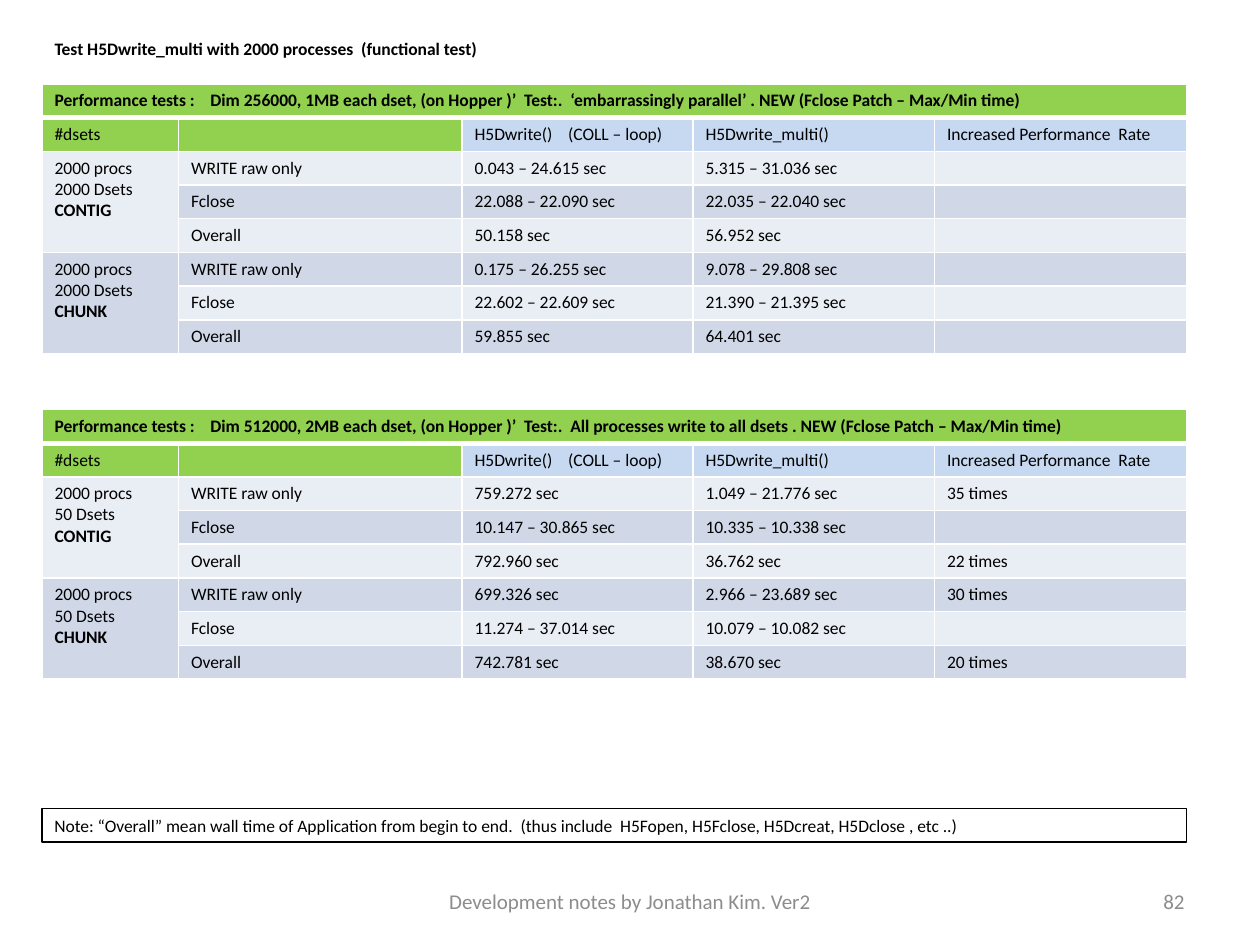
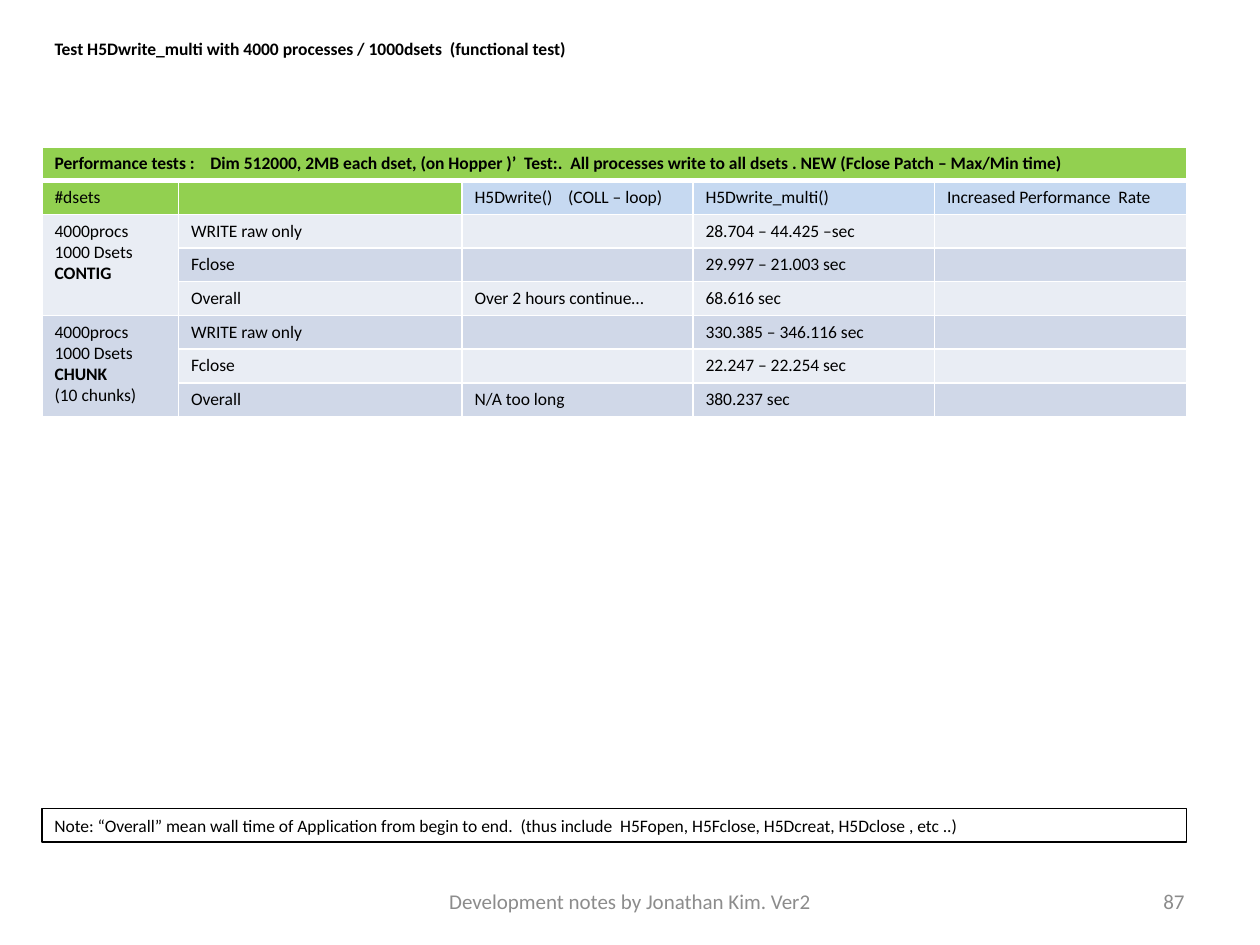
from pptx import Presentation, util as u
from pptx.dml import color
from pptx.enum import shapes, text
from pptx.oxml import parse_xml
from pptx.oxml.ns import nsdecls

# Shared style: a grid of 120 columns by 90 rows
COLS, ROWS = 120, 90
FONT = "Calibri"
INK, GREY, WHITE = "000000", "8C8C8C", "FFFFFF"
GREEN, BLUE = "92D050", "C6D9F1"
LIGHT, DARK = "E9EDF4", "D0D8E8"
LEFT, SPANS = 4, [13, 27, 22, 23, 24]
WIDE = sum(SPANS)
DEEP, LINE = 25.6, 3.2
ALIGN = text.PP_ALIGN

HEADS = ["#dsets", "", "H5Dwrite()    (COLL – loop)", "H5Dwrite_multi()",
         "Increased Performance  Rate"]
STEPS = ["WRITE raw only", "Fclose", "Overall"]
KINDS = ["CONTIG", "CHUNK"]
NOTE = ("Note: “Overall” mean wall time of Application from begin to end.  "
        "(thus include  H5Fopen, H5Fclose, H5Dcreat, H5Dclose , etc ..)")
CREDIT = "Development notes by Jonathan Kim. Ver2"
LEAD = "Performance tests :    Dim {}, (on Hopper )’  Test:.  {} . NEW (Fclose Patch – Max/Min time)"
ALL = LEAD.format("512000, 2MB each dset", "All processes write to all dsets")
OWN = LEAD.format("256000, 1MB each dset", "‘embarrassingly parallel’")


def rgb(code):
    return color.RGBColor.from_string(code)


class Deck:
    def __init__(self):
        self.prs = Presentation()
        self.prs.slide_width = u.Inches(10)
        self.prs.slide_height = u.Inches(7.5)
        self.page = None

    def box(self, col, row, wide, high):
        """Turn grid units into left, top, width, height."""
        dx, dy = self.prs.slide_width / COLS, self.prs.slide_height / ROWS
        return [round(n) for n in (col * dx, row * dy, wide * dx, high * dy)]

    def put(self, frame, lines, size=10, ink=INK, bold=(), align=ALIGN.LEFT):
        """Fill a text frame, one paragraph a line; bold names the bold lines."""
        for num, line in enumerate(lines):
            para = frame.add_paragraph() if num else frame.paragraphs[0]
            para.alignment = align
            run = para.add_run()
            run.text = line
            font = run.font
            font.name, font.size = FONT, u.Pt(size)
            font.bold, font.color.rgb = line in bold, rgb(ink)

    def slide(self, title, wide, num):
        self.page = self.prs.slides.add_slide(self.prs.slide_layouts[5])
        # Title
        head = self.page.shapes.title
        head.left, head.top, head.width, head.height = self.box(LEFT, 3, wide, LINE)
        frame = head.text_frame
        frame.word_wrap = False
        frame.auto_size = text.MSO_AUTO_SIZE.SHAPE_TO_FIT_TEXT
        frame.vertical_anchor = text.MSO_ANCHOR.TOP
        self.put(frame, [title], bold=[title])
        # Note and footer
        self.note()
        self.foot(41, 38, CREDIT, ALIGN.CENTER)
        self.foot(86, 28, str(num), ALIGN.RIGHT)

    def note(self):
        rect = self.page.shapes.add_shape(
            shapes.MSO_SHAPE.RECTANGLE, *self.box(LEFT, 77, WIDE, LINE))
        rect.shadow.inherit = False
        rect.fill.background()
        rect.line.color.rgb = rgb(INK)
        rect.line.width = u.Pt(0.75)
        frame = rect.text_frame
        frame.word_wrap = True
        frame.auto_size = text.MSO_AUTO_SIZE.SHAPE_TO_FIT_TEXT
        frame.vertical_anchor = text.MSO_ANCHOR.TOP
        self.put(frame, [NOTE])

    def foot(self, col, wide, line, align):
        frame = self.page.shapes.add_textbox(*self.box(col, 83.4, wide, 4.8)).text_frame
        frame.word_wrap = True
        frame.vertical_anchor = text.MSO_ANCHOR.MIDDLE
        self.put(frame, [line], 12, GREY, align=align)

    def cell(self, cell, lines, fill, bold=(), top=1, base=1):
        """Fill one cell; top and base are border widths in points."""
        cell.fill.solid()
        cell.fill.fore_color.rgb = rgb(fill)
        props = cell._tc.get_or_add_tcPr()
        for num, (side, wide) in enumerate(zip("LRTB", (1, 1, top, base))):
            props.insert(num, parse_xml(
                f'<a:ln{side} {nsdecls("a")} w="{u.Pt(wide)}"><a:solidFill>'
                f'<a:srgbClr val="{WHITE}"/></a:solidFill></a:ln{side}>'))
        if any(lines):
            self.put(cell.text_frame, lines, bold=bold)
        else:
            # Keep empty cells as low as the filled ones
            cell.text_frame.paragraphs[0]._p.append(
                parse_xml(f'<a:endParaRPr {nsdecls("a")} sz="1000"/>'))

    def table(self, row, title, labels, data):
        """data holds three values for each step of each label."""
        count = 2 + len(data)
        grid = self.page.shapes.add_table(
            count, len(SPANS), *self.box(LEFT, row, WIDE, DEEP)).table
        for col, span in zip(grid.columns, SPANS):
            col.width = self.box(0, 0, span, 0)[2]
        for line in grid.rows:
            line.height = self.box(0, 0, 0, DEEP / count)[3]
        # Title band and column heads
        for col, head in enumerate(HEADS):
            first = [title] if col == 0 else [""]
            self.cell(grid.cell(0, col), first, GREEN, first, base=3)
            self.cell(grid.cell(1, col), [head], GREEN if col < 2 else BLUE, top=3)
        grid.cell(0, 0).merge(grid.cell(0, len(SPANS) - 1))
        # Steps and values
        for num, vals in enumerate(data):
            part, step = divmod(num, len(STEPS))
            fill = DARK if num % 2 else LIGHT
            label = [""] if step else labels[part]
            self.cell(grid.cell(num + 2, 0), label, fill, KINDS)
            for col, val in enumerate([STEPS[step], *vals], 1):
                self.cell(grid.cell(num + 2, col), [val], fill)
        for top in range(2, count, len(STEPS)):
            grid.cell(top, 0).merge(grid.cell(top + len(STEPS) - 1, 0))


def labels(procs, sets):
    return [[procs, sets, kind] for kind in KINDS]


def main():
    deck = Deck()

    # 2000 processes
    deck.slide("Test H5Dwrite_multi with 2000 processes  (functional test)", 44, 82)
    deck.table(8, OWN, labels("2000 procs", "2000 Dsets"), [
        ("0.043 – 24.615 sec", "5.315 – 31.036 sec", ""),
        ("22.088 – 22.090 sec", "22.035 – 22.040 sec", ""),
        ("50.158 sec", "56.952 sec", ""),
        ("0.175 – 26.255 sec", "9.078 – 29.808 sec", ""),
        ("22.602 – 22.609 sec", "21.390 – 21.395 sec", ""),
        ("59.855 sec", "64.401 sec", ""),
    ])
    deck.table(39, ALL, labels("2000 procs", "50 Dsets"), [
        ("759.272 sec", "1.049 – 21.776 sec", "35 times"),
        ("10.147 – 30.865 sec", "10.335 – 10.338 sec", ""),
        ("792.960 sec", "36.762 sec", "22 times"),
        ("699.326 sec", "2.966 – 23.689 sec", "30 times"),
        ("11.274 – 37.014 sec", "10.079 – 10.082 sec", ""),
        ("742.781 sec", "38.670 sec", "20 times"),
    ])

    # 4000 processes
    deck.slide("Test H5Dwrite_multi with 4000 processes / 1000dsets  (functional test)",
               54.5, 87)
    names = labels("4000procs", "1000 Dsets")
    names[1].append("(10 chunks)")
    deck.table(14, ALL, names, [
        ("", "28.704 – 44.425 –sec", ""),
        ("", "29.997 – 21.003 sec", ""),
        ("Over 2 hours continue…", "68.616 sec", ""),
        ("", "330.385 – 346.116 sec", ""),
        ("", "22.247 – 22.254 sec", ""),
        ("N/A too long", "380.237 sec", ""),
    ])

    deck.prs.save("out.pptx")


if __name__ == "__main__":
    main()
